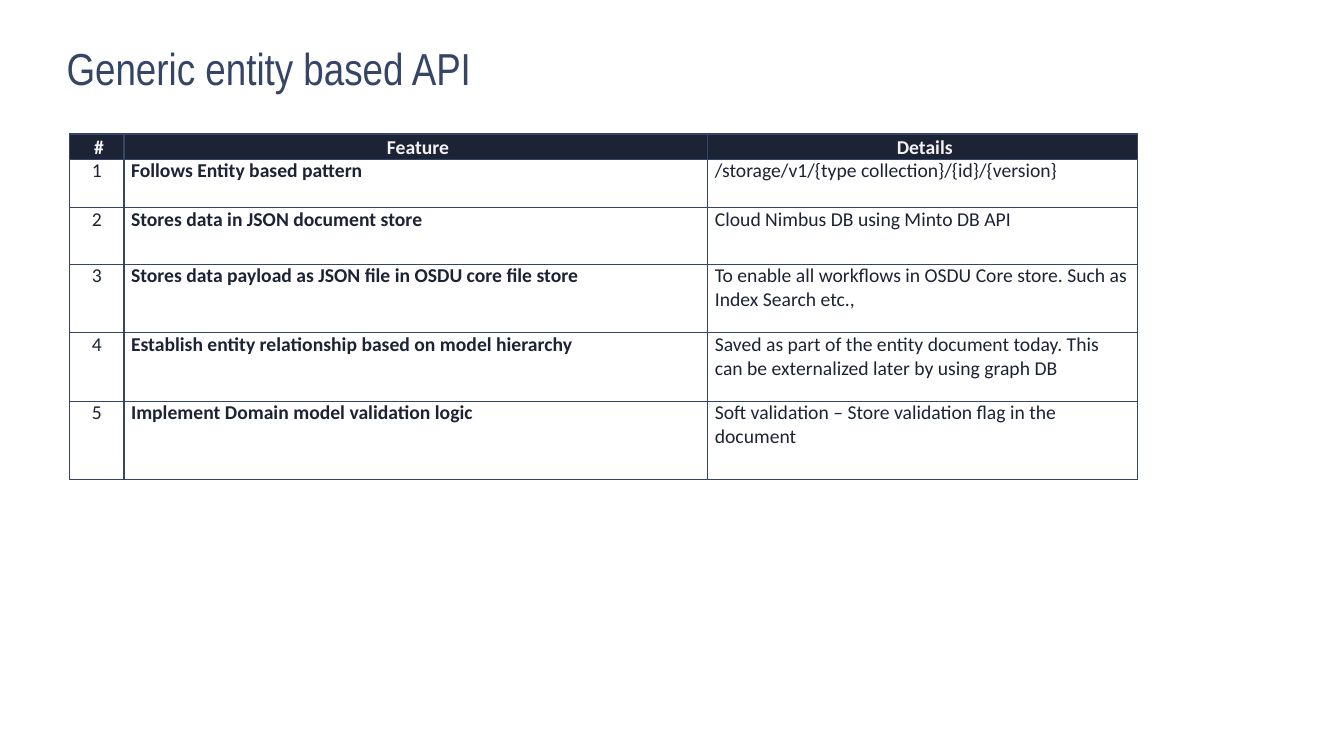
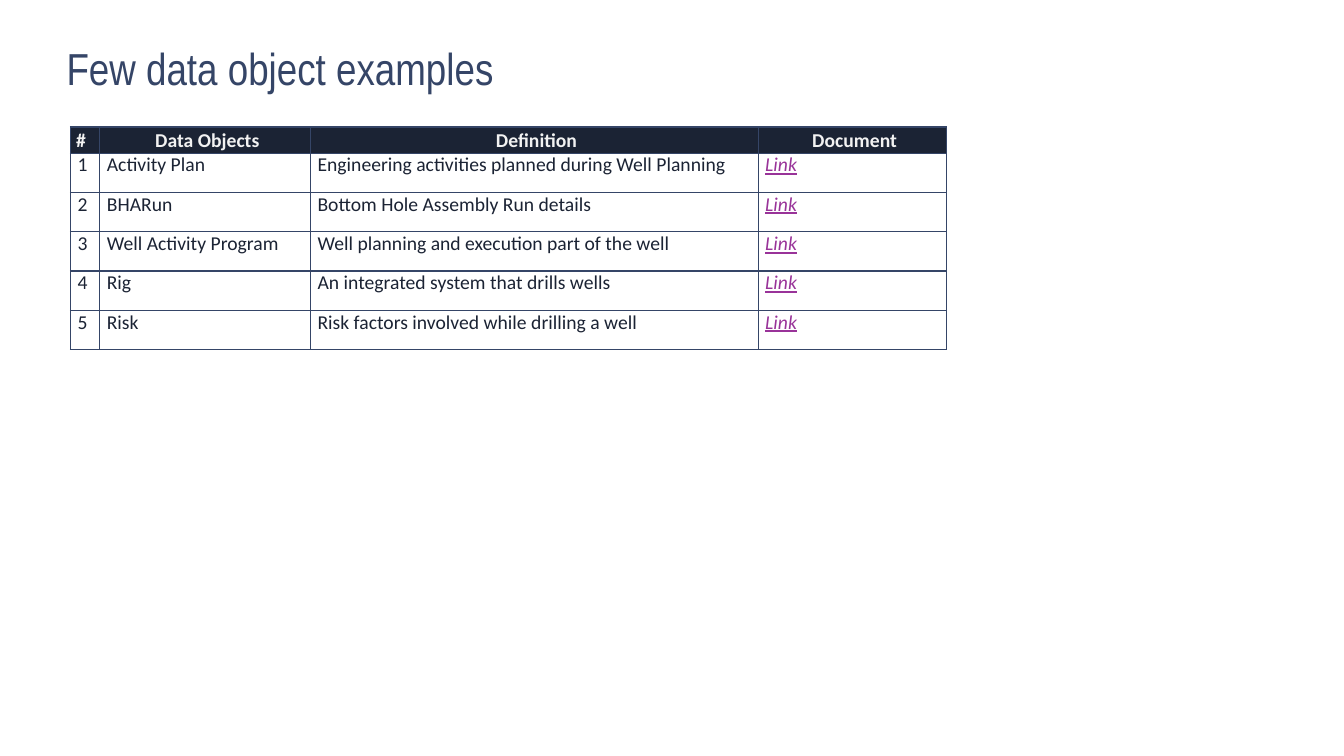
from lxml import etree
from pptx import Presentation
from pptx.dml.color import RGBColor
from pptx.enum.text import MSO_ANCHOR, MSO_AUTO_SIZE, PP_ALIGN
from pptx.oxml.ns import qn
from pptx.util import Inches, Pt

SLIDE_WIDTH = Inches(13.33)
SLIDE_HEIGHT = Inches(7.5)

SLATE = RGBColor(0x35, 0x45, 0x67)
NAVY = RGBColor(0x1B, 0x23, 0x34)
PALE = RGBColor(0xF2, 0xF2, 0xF2)
WHITE = RGBColor(0xFF, 0xFF, 0xFF)
PURPLE = RGBColor(0x99, 0x33, 0x99)

LEFT = PP_ALIGN.LEFT
CENTER = PP_ALIGN.CENTER
JUSTIFY = PP_ALIGN.JUSTIFY
TOP = MSO_ANCHOR.TOP
NO_AUTOFIT = MSO_AUTO_SIZE.NONE

TITLE_ONLY = 5
TITLE_FONT = "Arial Narrow"
TABLE_FONT = "Calibri"
HEADER_INSETS = (Pt(4), Pt(1), Pt(1), 0)
BODY_INSETS = (Pt(5), 0, Pt(5), 0)

FEATURES = [
    ("#", "Feature", "Details"),
    ("1", "Follows Entity based pattern",
     "/storage/v1/{type collection}/{id}/{version}"),
    ("2", "Stores data in JSON document store",
     "Cloud Nimbus DB using Minto DB API"),
    ("3", "Stores data payload as JSON file in OSDU core file store",
     "To enable all workflows in OSDU Core store. Such as Index Search etc.,"),
    ("4", "Establish entity relationship based on model hierarchy",
     "Saved as part of the entity document today. This can be externalized "
     "later by using graph DB"),
    ("5", "Implement Domain model validation logic",
     "Soft validation – Store validation flag in the document"),
]
DATA_OBJECTS = [
    ("#", "Data Objects", "Definition", "Document"),
    ("1", "Activity Plan",
     "Engineering activities planned during Well Planning", "Link"),
    ("2", "BHARun", "Bottom Hole Assembly Run details", "Link"),
    ("3", "Well Activity Program",
     "Well planning and execution part of the well", "Link"),
    ("4", "Rig", "An integrated system that drills wells", "Link"),
    ("5", "Risk", "Risk factors involved while drilling a well", "Link"),
]

PLAIN = {"align": LEFT, "color": NAVY}
NUMBER = {"align": CENTER, "color": NAVY}
STRONG = {"align": LEFT, "color": NAVY, "bold": True}
LINK = {"align": JUSTIFY, "color": PURPLE, "italic": True, "underline": True}
HEADING = {"align": CENTER, "color": PALE, "bold": True}
LEFT_HEADING = {**HEADING, "align": LEFT}


def across(percent):
    return round(SLIDE_WIDTH * percent / 100)


def down(percent):
    return round(SLIDE_HEIGHT * percent / 100)


def add_titled_slide(deck, heading):
    slide = deck.slides.add_slide(deck.slide_layouts[TITLE_ONLY])
    title = slide.shapes.title
    title.left, title.top = across(4.2), down(4.67)
    title.width, title.height = across(91.5), down(9.2)
    frame = title.text_frame
    frame.text = heading
    frame.auto_size = NO_AUTOFIT
    frame.vertical_anchor = TOP
    paragraph = frame.paragraphs[0]
    paragraph.alignment = LEFT
    font = paragraph.runs[0].font
    font.name, font.size = TITLE_FONT, Pt(32)
    font.color.rgb = SLATE
    return slide


def outline_cell(cell):
    properties = cell._tc.get_or_add_tcPr()
    for side in ("a:lnL", "a:lnR", "a:lnT", "a:lnB"):
        line = etree.SubElement(properties, qn(side), w=str(Pt(1)))
        fill = etree.SubElement(line, qn("a:solidFill"))
        etree.SubElement(fill, qn("a:srgbClr"), val=str(SLATE))


def fill_cell(cell, wording, style, background, insets):
    outline_cell(cell)
    cell.fill.solid()
    cell.fill.fore_color.rgb = background
    (cell.margin_left, cell.margin_top,
     cell.margin_right, cell.margin_bottom) = insets
    cell.text_frame.text = wording
    paragraph = cell.text_frame.paragraphs[0]
    paragraph.alignment = style["align"]
    font = paragraph.runs[0].font
    font.name, font.size = TABLE_FONT, Pt(14)
    font.color.rgb = style["color"]
    font.bold = style.get("bold", False)
    font.italic = style.get("italic", False)
    font.underline = style.get("underline", False)


def add_grid(slide, rows, left, top, widths, heights, headings, styles):
    table = slide.shapes.add_table(
        len(rows), len(widths), across(left), down(top),
        across(sum(widths)), down(sum(heights))).table
    table.first_row = table.horz_banding = False
    for column, width in zip(table.columns, widths):
        column.width = across(width)
    for row, height in zip(table.rows, heights):
        row.height = down(height)
    for index, wordings in enumerate(rows):
        is_header = index == 0
        row_styles = headings if is_header else styles
        background = NAVY if is_header else WHITE
        insets = HEADER_INSETS if is_header else BODY_INSETS
        for cell, wording, style in zip(
                table.rows[index].cells, wordings, row_styles):
            fill_cell(cell, wording, style, background, insets)


def main():
    deck = Presentation()
    deck.slide_width, deck.slide_height = SLIDE_WIDTH, SLIDE_HEIGHT

    api_slide = add_titled_slide(deck, "Generic entity based API")
    add_grid(api_slide, FEATURES, 5.18, 17.73,
             widths=[4.05, 43.44, 31.96],
             heights=[2.67, 6.4, 7.47, 9.07, 9.07, 10.4],
             headings=[HEADING] * 3,
             styles=[NUMBER, STRONG, PLAIN])

    examples_slide = add_titled_slide(deck, "Few data object examples")
    add_grid(examples_slide, DATA_OBJECTS, 5.25, 16.8,
             widths=[2.18, 15.68, 33.31, 14.03],
             heights=[3.47] + [5.2] * 5,
             headings=[LEFT_HEADING] + [HEADING] * 3,
             styles=[PLAIN, PLAIN, PLAIN, LINK])

    deck.save("out.pptx")


if __name__ == "__main__":
    main()
